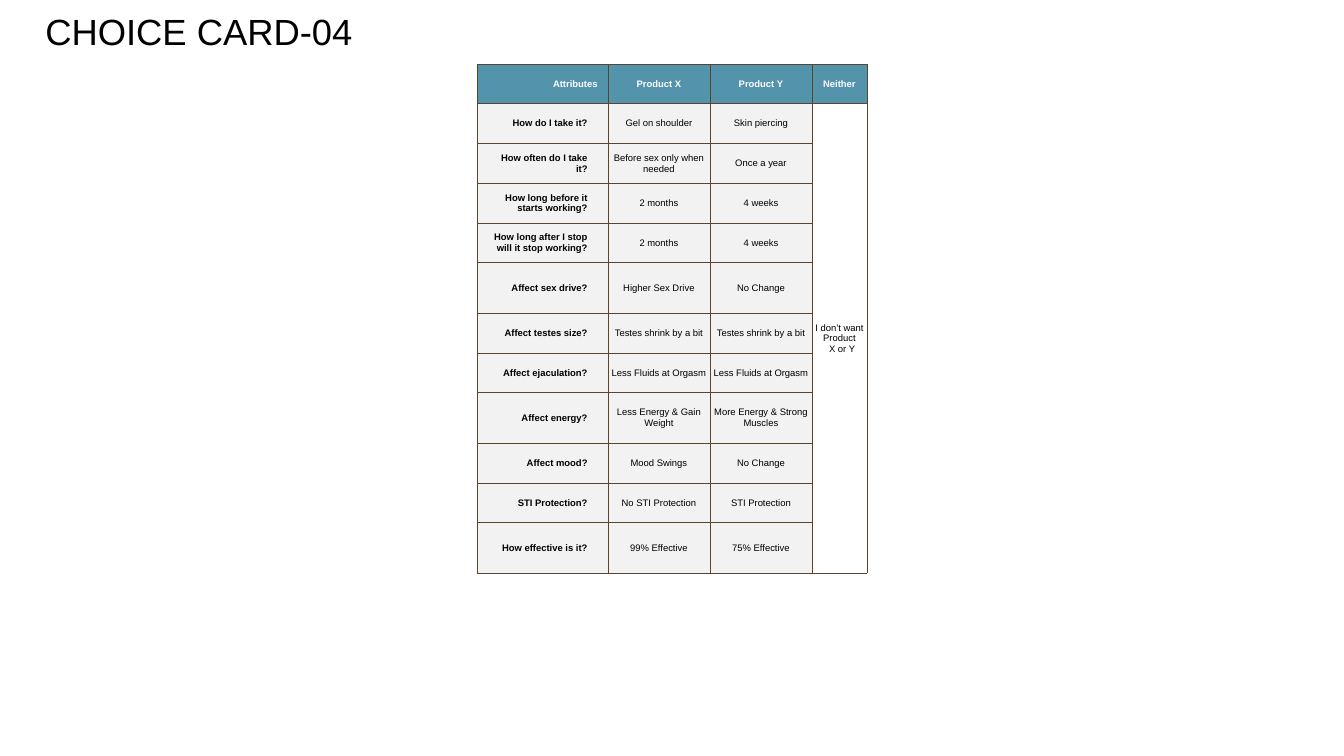
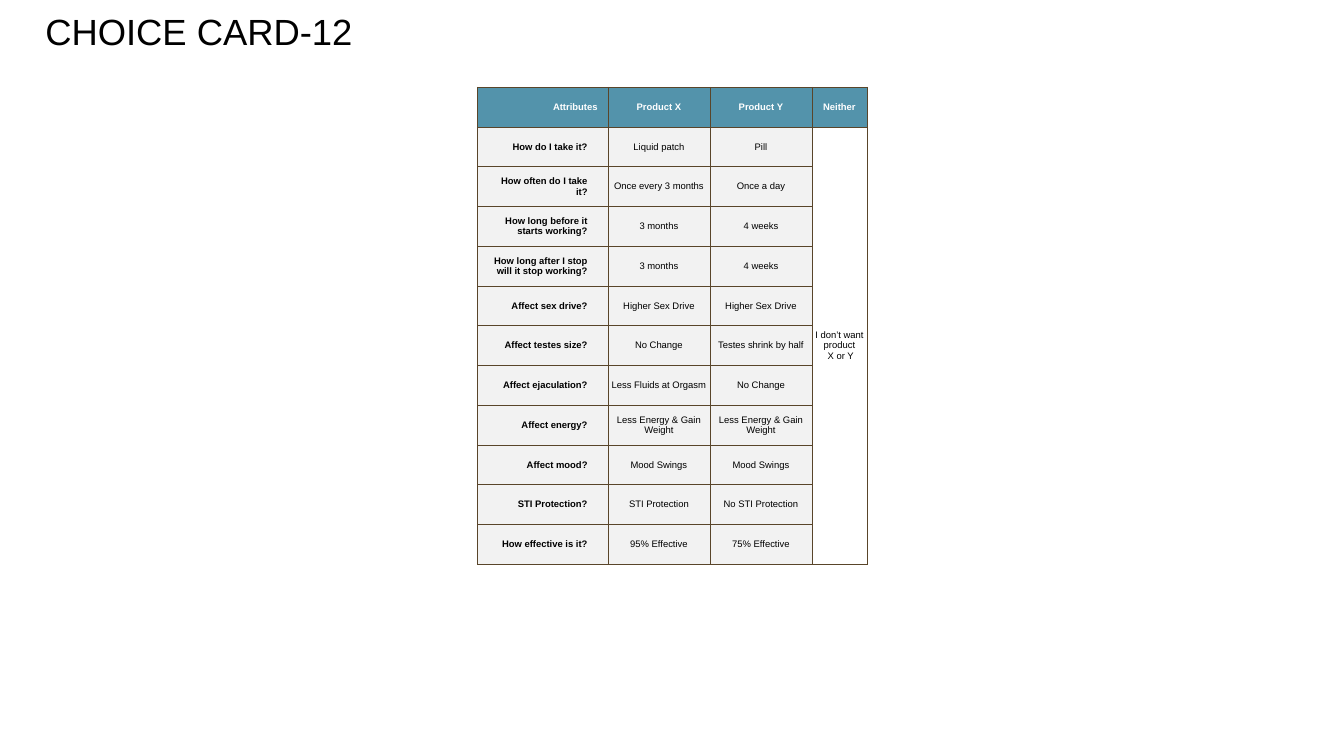
from lxml import etree
from pptx import Presentation
from pptx import util as u
from pptx.dml.color import RGBColor
from pptx.enum import text
from pptx.oxml.ns import qn

# Content
HEADERS = ["Attributes", "Product X", "Product Y", "Neither"]
QUESTIONS = [
    "How do I take it?",
    "How often do I take it?",
    "How long before it starts working?",
    "How long after I stop will it stop working?",
    "Affect sex drive?",
    "Affect testes size?",
    "Affect ejaculation?",
    "Affect energy?",
    "Affect mood?",
    "STI Protection?",
    "How effective is it?",
]
CARDS = [
    {
        "title": "CHOICE CARD-04",
        "top": 2.87,
        "tall_rows": {5, 8, 11},
        "neither": ["I don’t want Product", "X or Y"],
        "neither_indent": 0.24,
        "answers": [
            ("Gel on shoulder", "Skin piercing"),
            ("Before sex only when needed", "Once a year"),
            ("2 months", "4 weeks"),
            ("2 months", "4 weeks"),
            ("Higher Sex Drive", "No Change"),
            ("Testes shrink by a bit", "Testes shrink by a bit"),
            ("Less Fluids at Orgasm", "Less Fluids at Orgasm"),
            ("Less Energy & Gain Weight", "More Energy & Strong Muscles"),
            ("Mood Swings", "No Change"),
            ("No STI Protection", "STI Protection"),
            ("99% Effective", "75% Effective"),
        ],
    },
    {
        "title": "CHOICE CARD-12",
        "top": 3.91,
        "tall_rows": set(),
        "neither": ["I don’t want product", "X or Y"],
        "neither_indent": 0.12,
        "answers": [
            ("Liquid patch", "Pill"),
            ("Once every 3 months", "Once a day"),
            ("3 months", "4 weeks"),
            ("3 months", "4 weeks"),
            ("Higher Sex Drive", "Higher Sex Drive"),
            ("No Change", "Testes shrink by half"),
            ("Less Fluids at Orgasm", "No Change"),
            ("Less Energy & Gain Weight", "Less Energy & Gain Weight"),
            ("Mood Swings", "Mood Swings"),
            ("STI Protection", "No STI Protection"),
            ("95% Effective", "75% Effective"),
        ],
    },
]

# Shared style, lengths in cm
FONT = "Arial"
BLACK, WHITE, TEAL, GREY, BROWN = "000000", "FFFFFF", "5393AB", "F2F2F2", "59452A"
TABLE_LEFT = 21.39
COLUMN_WIDTHS = [5.84, 4.57, 4.57, 2.46]
ROW_HEIGHT, TALL_ROW_HEIGHT = 1.78, 2.26
HEADER_INSETS = (0.46, 0.23, 0.46, 0.23)
QUESTION_INSETS = (0.46, 0.23, 0.91, 0.23)
ANSWER_INSETS = (0.1, 0.05, 0.1, 0.05)
RIGHT, CENTER = text.PP_ALIGN.RIGHT, text.PP_ALIGN.CENTER


def color(value):
    return RGBColor.from_string(value)


def set_insets(box, insets):
    box.margin_left, box.margin_top, box.margin_right, box.margin_bottom = map(u.Cm, insets)


def add_run(paragraph, words, size, hue, bold=False):
    run = paragraph.add_run()
    run.text = words
    run.font.name = FONT
    run.font.size = u.Pt(size)
    run.font.bold = bold
    run.font.color.rgb = color(hue)


def add_borders(cell):
    properties = cell._tc.get_or_add_tcPr()
    for side in ("lnL", "lnR", "lnT", "lnB"):
        line = etree.SubElement(properties, qn(f"a:{side}"), w=str(u.Pt(1)))
        fill = etree.SubElement(line, qn("a:solidFill"))
        etree.SubElement(fill, qn("a:srgbClr"), val=BROWN)


def fill_cell(cell, lines, fill, insets, align=CENTER, hue=BLACK, bold=False):
    cell.fill.solid()
    cell.fill.fore_color.rgb = color(fill)
    cell.vertical_anchor = text.MSO_ANCHOR.MIDDLE
    set_insets(cell, insets)
    frame = cell.text_frame
    for number, words in enumerate(lines):
        paragraph = frame.add_paragraph() if number else frame.paragraphs[0]
        paragraph.alignment = align
        add_run(paragraph, words, 12, hue, bold)


def add_title(slide, title):
    box = slide.shapes.add_textbox(u.Cm(1.85), u.Cm(1.07), u.Cm(45.85), u.Cm(1.88))
    frame = box.text_frame
    frame.word_wrap = True
    set_insets(frame, (0.18, 0.2, 0.18, 0.2))
    paragraph = frame.paragraphs[0]
    paragraph.line_spacing = u.Pt(30.7)
    add_run(paragraph, title, 46.2, BLACK)


def add_choice_table(slide, card):
    heights = [TALL_ROW_HEIGHT if row in card["tall_rows"] else ROW_HEIGHT
               for row in range(len(QUESTIONS) + 1)]
    table = slide.shapes.add_table(
        len(heights), len(HEADERS), u.Cm(TABLE_LEFT), u.Cm(card["top"]),
        u.Cm(sum(COLUMN_WIDTHS)), u.Cm(sum(heights))).table
    table.first_row = table.horz_banding = False
    for column, width in zip(table.columns, COLUMN_WIDTHS):
        column.width = u.Cm(width)
    for row, height in zip(table.rows, heights):
        row.height = u.Cm(height)
    for cell in table.iter_cells():
        add_borders(cell)

    # Header row
    for index, header in enumerate(HEADERS):
        fill_cell(table.cell(0, index), [header], TEAL, HEADER_INSETS,
                  CENTER if index else RIGHT, WHITE, True)

    # Questions and answers
    for row, (question, answers) in enumerate(zip(QUESTIONS, card["answers"]), 1):
        fill_cell(table.cell(row, 0), [question], GREY, QUESTION_INSETS, RIGHT, bold=True)
        for index, answer in enumerate(answers, 1):
            fill_cell(table.cell(row, index), [answer], GREY, ANSWER_INSETS)

    # Opt-out column, one cell over all question rows
    opt_out = table.cell(1, 3)
    opt_out.merge(table.cell(len(QUESTIONS), 3))
    fill_cell(opt_out, card["neither"], WHITE, ANSWER_INSETS)
    last_line = opt_out.text_frame.paragraphs[-1]
    last_line._p.get_or_add_pPr().set("marL", str(u.Cm(card["neither_indent"])))


def main():
    presentation = Presentation()
    presentation.slide_width, presentation.slide_height = u.Cm(60.2), u.Cm(33.86)
    for card in CARDS:
        slide = presentation.slides.add_slide(presentation.slide_layouts[6])
        add_title(slide, card["title"])
        add_choice_table(slide, card)
    presentation.save("out.pptx")


if __name__ == "__main__":
    main()
